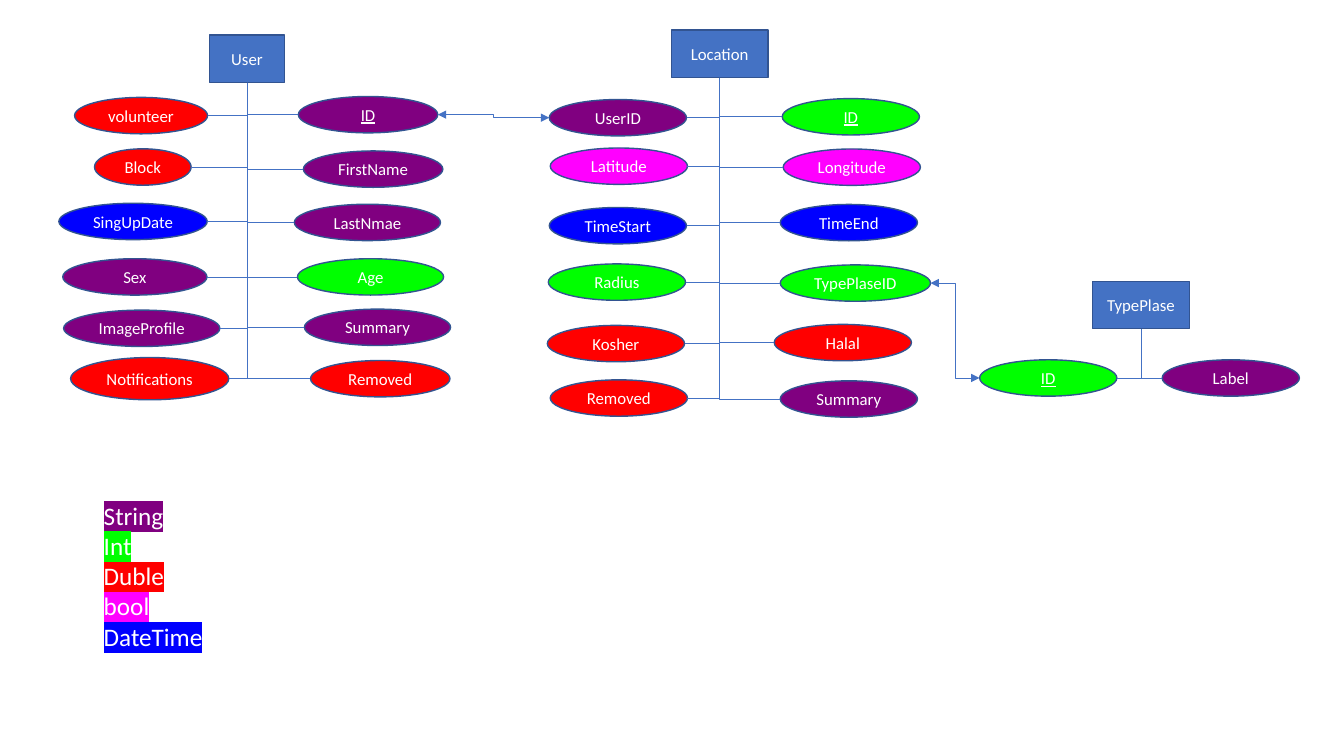
from collections import namedtuple

from lxml import etree
from pptx import Presentation
from pptx.dml.color import RGBColor
from pptx.enum.shapes import MSO_CONNECTOR, MSO_SHAPE
from pptx.enum.text import MSO_ANCHOR, MSO_AUTO_SIZE, PP_ALIGN
from pptx.oxml.ns import qn
from pptx.util import Pt

RECT, OVAL = MSO_SHAPE.RECTANGLE, MSO_SHAPE.OVAL
ELBOW = MSO_CONNECTOR.ELBOW
CENTER, MIDDLE = PP_ALIGN.CENTER, MSO_ANCHOR.MIDDLE
GROW = MSO_AUTO_SIZE.SHAPE_TO_FIT_TEXT


class Theme:
    font = "Calibri"
    label_size, legend_size = Pt(12), Pt(18)
    text = "FFFFFF"
    entity, outline, link = "4472C4", "325491", "4472C4"
    outline_width, link_width = Pt(1), Pt(0.5)
    types = {"String": "800080", "Int": "00FF00", "Duble": "FF0000",
             "bool": "FF00FF", "DateTime": "0000FF"}


# An attribute oval: gap from the entity's centre line, drop below its header
Attr = namedtuple("Attr", "name kind gap drop width height key",
                  defaults=(98, 26, False))

USER_LEFT = [
    Attr("volunteer", "Duble", 28.2, 23.6, 95),
    Attr("Block", "Duble", 39.9, 60.3, 69),
    Attr("SingUpDate", "DateTime", 28.4, 99.2, 106),
    Attr("Sex", "String", 28.6, 138.8, 103),
    Attr("ImageProfile", "String", 19.4, 175.5, 111.6),
    Attr("Notifications", "Duble", 13, 211.5, 113, 30.2),
]
USER_RIGHT = [
    Attr("ID", "String", 36.7, 22.9, 99.6, key=True),
    Attr("FirstName", "String", 40.3, 61.8, 99.6),
    Attr("LastNmae", "String", 33.8, 99.9, 104.4),
    Attr("Age", "Int", 36, 138.8, 104.4),
    Attr("Summary", "String", 41, 174.8, 104.4),
    Attr("Removed", "Duble", 45.4, 211.5, 99.6),
]
LOCATION_LEFT = [
    Attr("UserID", "String", 23.7, 28.6),
    Attr("Latitude", "bool", 23, 63.2),
    Attr("TimeStart", "DateTime", 23.7, 105.7),
    Attr("Radius", "Int", 24.4, 146),
    Attr("Kosher", "Duble", 25.1, 189.9),
    Attr("Removed", "Duble", 23, 228.8),
]
LOCATION_RIGHT = [
    Attr("ID", "Int", 44.7, 27.9, key=True),
    Attr("Longitude", "bool", 45.4, 63.9),
    Attr("TimeEnd", "DateTime", 43.3, 103.5),
    Attr("TypePlaseID", "Int", 43.3, 146.7, 107.3),
    Attr("Halal", "Duble", 39, 189.2),
    Attr("Summary", "String", 43.3, 229.5),
]
TYPE_LEFT = [Attr("ID", "Int", 17.3, 35.1, key=True)]
TYPE_RIGHT = [Attr("Label", "String", 15.1, 35.1)]


def add_run(p, text, **formats):
    r = p.add_run()
    r.text = text
    r.font.color.rgb = RGBColor.from_string(Theme.text)
    for name, value in {"name": Theme.font, **formats}.items():
        setattr(r.font, name, value)
    return r


def add_node(slide, kind, box, text, fill, underline=None):
    sp = slide.shapes.add_shape(kind, *map(Pt, box))
    sp.shadow.inherit = False
    sp.fill.solid()
    sp.fill.fore_color.rgb = RGBColor.from_string(fill)
    sp.line.color.rgb = RGBColor.from_string(Theme.outline)
    sp.line.width = Theme.outline_width
    tf = sp.text_frame
    tf.word_wrap, tf.vertical_anchor = True, MIDDLE
    p = tf.paragraphs[0]
    p.alignment = CENTER
    add_run(p, text, size=Theme.label_size, underline=underline)
    return sp


def add_elbow(slide, x1, y1, x2, y2):
    cxn = slide.shapes.add_connector(ELBOW, *map(Pt, (x1, y1, x2, y2)))
    cxn.line.color.rgb = RGBColor.from_string(Theme.link)
    cxn.line.width = Theme.link_width
    etree.SubElement(cxn._element.spPr, qn("a:effectLst"))
    return cxn


def add_branch(slide, x1, y1, x2, y2):
    """Down from the header, then sideways to the oval: one quarter-turned bend."""
    cx, cy = (x1 + x2) / 2, (y1 + y2) / 2
    side = 1 if x2 > x1 else -1
    half_w, half_h = side * (y2 - y1) / 2, abs(x2 - x1) / 2
    cxn = add_elbow(slide, cx + half_w, cy - half_h, cx - half_w, cy + half_h)
    spPr = cxn._element.spPr
    spPr.find(qn("a:prstGeom")).set("prst", "bentConnector2")
    spPr.find(qn("a:xfrm")).set("rot", str((270 if side > 0 else 90) * 60000))


def add_entity(slide, box, name, left, right):
    x, y, w, h = box
    spine, bottom = x + w / 2, y + h
    add_node(slide, RECT, box, name, Theme.entity)
    ovals = {}
    for side, attrs in ((-1, left), (1, right)):
        for a in attrs:
            edge, cy = spine + side * a.gap, bottom + a.drop
            oval_x = edge if side > 0 else edge - a.width
            oval_box = (oval_x, cy - a.height / 2, a.width, a.height)
            add_node(slide, OVAL, oval_box, a.name, Theme.types[a.kind], a.key or None)
            add_branch(slide, spine, bottom, edge, cy)
            ovals[a.name] = oval_box
    return ovals


def add_reference(slide, source, target):
    """Double-headed link from the right of one oval to the left of another."""
    sx, sy, sw, sh = source
    tx, ty, _, th = target
    cxn = add_elbow(slide, sx + sw, sy + sh / 2, tx, ty + th / 2)
    ln = cxn.line._get_or_add_ln()
    for end in ("a:headEnd", "a:tailEnd"):
        etree.SubElement(ln, qn(end), type="triangle")


def add_legend(slide, box):
    tf = slide.shapes.add_textbox(*map(Pt, box)).text_frame
    tf.word_wrap, tf.auto_size = True, GROW
    for i, (name, color) in enumerate(Theme.types.items()):
        p = tf.add_paragraph() if i else tf.paragraphs[0]
        r = add_run(p, name, size=Theme.legend_size)
        highlight = etree.Element(qn("a:highlight"))
        etree.SubElement(highlight, qn("a:srgbClr"), val=color)
        r.font._element.find(qn("a:solidFill")).addnext(highlight)


def main():
    prs = Presentation()
    prs.slide_width, prs.slide_height = Pt(960), Pt(540)
    slide = prs.slides.add_slide(prs.slide_layouts[6])

    # Entities with their attributes
    user = add_entity(slide, (149.8, 25, 53.3, 34), "User", USER_LEFT, USER_RIGHT)
    location = add_entity(slide, (479.5, 21.5, 69.1, 34), "Location",
                          LOCATION_LEFT, LOCATION_RIGHT)
    place_type = add_entity(slide, (780.5, 200.9, 69.1, 34), "TypePlase",
                            TYPE_LEFT, TYPE_RIGHT)

    # References between entities
    add_reference(slide, user["ID"], location["UserID"])
    add_reference(slide, location["TypePlaseID"], place_type["ID"])

    # Data type legend
    add_legend(slide, (67, 353.5, 99.4, 138.2))

    prs.save("out.pptx")


if __name__ == "__main__":
    main()
